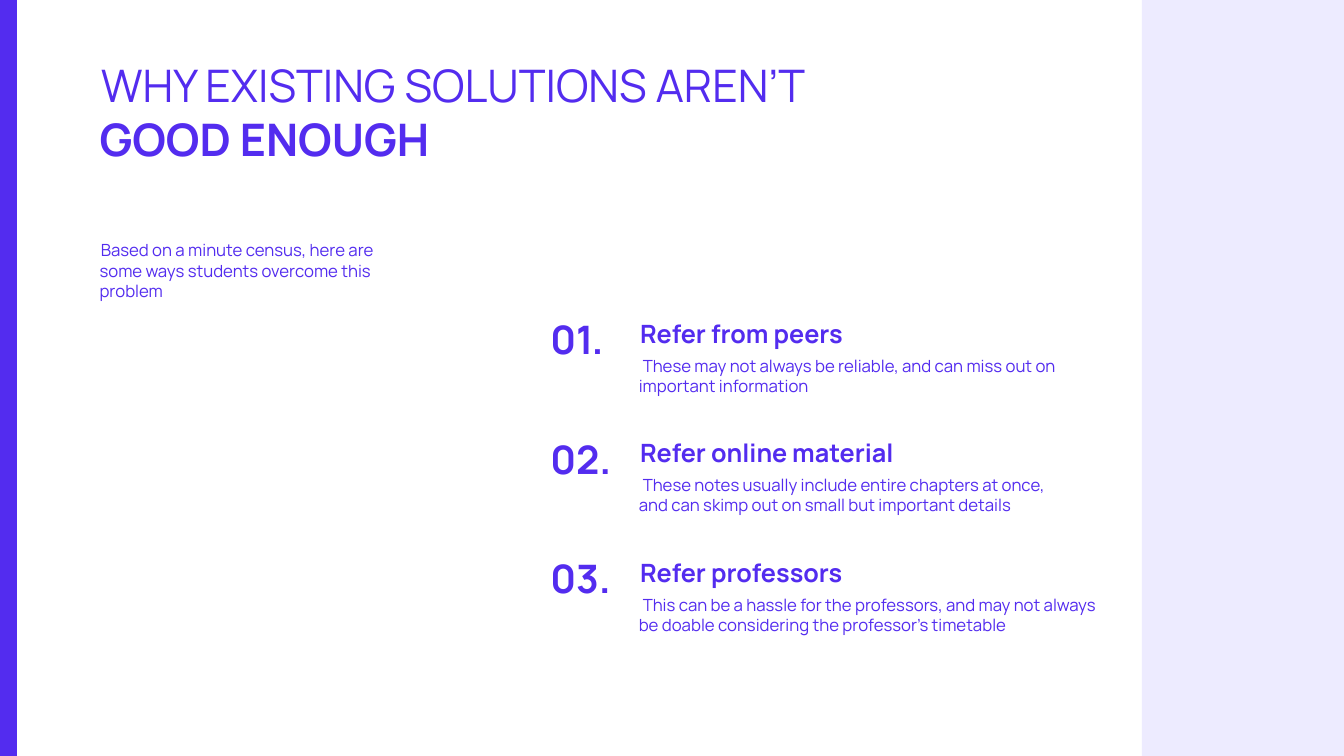
import pptx
import pptx.dml.color
import pptx.enum.shapes
import pptx.enum.text
import pptx.util

Cm = pptx.util.Cm
Pt = pptx.util.Pt

COLORS = {"accent": "532CEF", "pale": "EDEBFF"}
FONT = "Manrope"
SLIDE_W, SLIDE_H = 33.87, 19.05

# Heading, detail, width of the text column in cm
ITEMS = [
    ("Refer from peers",
     "These may not always be reliable, and can miss out on important information", 11.13),
    ("Refer online material",
     "These notes usually include entire chapters at once, "
     "and can skimp out on small but important details", 10.97),
    ("Refer professors",
     "This can be a hassle for the professors, and may not always "
     "be doable considering the professor’s timetable", 11.76),
]


def rgb(name):
    return pptx.dml.color.RGBColor.from_string(COLORS[name])


def add_run(p, text, size, bold=False):
    r = p.add_run()
    r.text = text
    r.font.name = FONT
    r.font.size = Pt(size)
    r.font.bold = bold
    r.font.color.rgb = rgb("accent")


def format_paragraph(p, indent=0.03, before=0):
    p.alignment = pptx.enum.text.PP_ALIGN.LEFT
    p.line_spacing = 1.0
    p.space_before = Pt(before)
    pPr = p._p.get_or_add_pPr()
    pPr.set("marL", "0")
    pPr.set("indent", str(int(Cm(indent))))


def prepare_frame(sp):
    tf = sp.text_frame
    tf.word_wrap = True
    tf.auto_size = pptx.enum.text.MSO_AUTO_SIZE.NONE
    tf.vertical_anchor = pptx.enum.text.MSO_ANCHOR.TOP
    tf.margin_left = tf.margin_top = tf.margin_right = tf.margin_bottom = 0
    format_paragraph(tf.paragraphs[0])
    return tf


def add_text_frame(s, x, y, w, h):
    return prepare_frame(s.shapes.add_textbox(Cm(x), Cm(y), Cm(w), Cm(h)))


def add_band(s, x, y, w, h, color):
    sp = s.shapes.add_shape(pptx.enum.shapes.MSO_SHAPE.RECTANGLE, Cm(x), Cm(y), Cm(w), Cm(h))
    sp.shadow.inherit = False
    sp.fill.solid()
    sp.fill.fore_color.rgb = rgb(color)
    sp.line.fill.background()


def add_title(s, x, y, w, h):
    sp = s.shapes.title
    sp.left, sp.top, sp.width, sp.height = Cm(x), Cm(y), Cm(w), Cm(h)
    p = prepare_frame(sp).paragraphs[0]
    add_run(p, "WHY EXISTING SOLUTIONS AREN’T ", 32)
    add_run(p, "GOOD ENOUGH", 32, bold=True)


def add_intro(s, x, y, w, h):
    tf = add_text_frame(s, x, y, w, h)
    add_run(tf.paragraphs[0],
            "Based on a minute census, here are some ways students overcome this problem", 12)


def add_item(s, x, y, number, heading, detail, w):
    tf = add_text_frame(s, x, y, 1.65, 1.19)
    add_run(tf.paragraphs[0], f"{number:02d}.", 28, bold=True)

    tf = add_text_frame(s, x + 2.26, y + 0.07, w, 1.93)
    add_run(tf.paragraphs[0], heading, 18, bold=True)
    p = tf.add_paragraph()
    format_paragraph(p, indent=0.1, before=5)
    add_run(p, detail, 12)


def add_items(s, x, y, pitch):
    for i, item in enumerate(ITEMS):
        add_item(s, x, y + i * pitch, i + 1, *item)


def main():
    prs = pptx.Presentation()
    prs.slide_width, prs.slide_height = Cm(SLIDE_W), Cm(SLIDE_H)
    s = prs.slides.add_slide(prs.slide_layouts[5])

    # Side bands
    add_band(s, 28.78, 0, SLIDE_W - 28.78, SLIDE_H, "pale")
    add_band(s, 0, 0, 0.43, SLIDE_H, "accent")

    # Title and introduction
    add_title(s, 2.51, 1.45, 18.62, 4.19)
    add_intro(s, 2.51, 6.05, 7.7, 1.47)

    # Numbered alternatives
    add_items(s, 13.84, 7.95, 3.01)

    prs.save("out.pptx")


if __name__ == "__main__":
    main()
